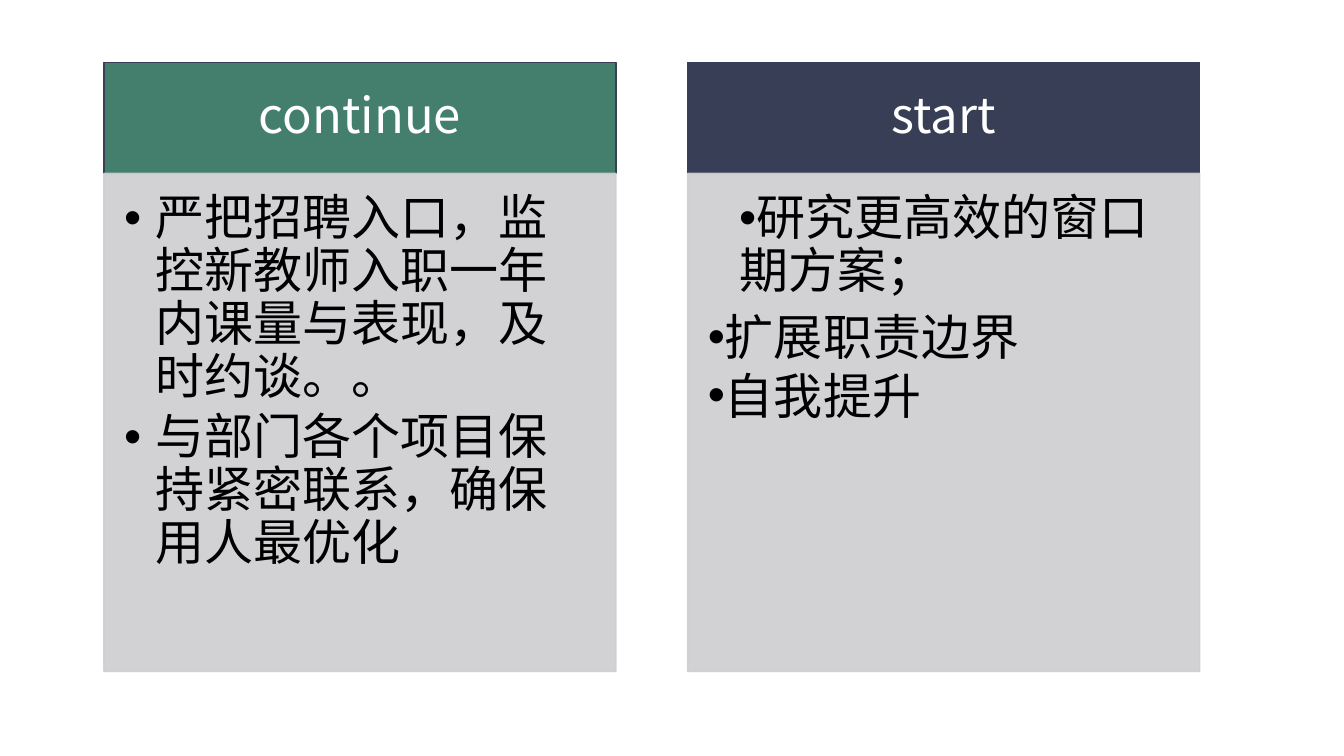
import pptx
import pptx.dml.color
import pptx.enum.text
import pptx.oxml.ns
import pptx.util
from lxml import etree
from pptx.util import Inches

RGBColor = pptx.dml.color.RGBColor
GREEN = RGBColor(0x44, 0x7F, 0x6D)
NAVY = RGBColor(0x38, 0x3E, 0x55)
GREY = RGBColor(0xCE, 0xCE, 0xD1)
WHITE = RGBColor(0xFF, 0xFF, 0xFF)
BLACK = RGBColor(0x00, 0x00, 0x00)

FONT = "Noto Sans CJK SC"
FONT_SIZE = 35
COMPARISON_LAYOUT = 4
LEFT, TOP = 1.03, 0.62
COLUMN_WIDTH, COLUMN_STEP = 5.08, 5.79
HEADER_HEIGHT, BODY_HEIGHT = 1.1, 4.94
HANGING, INDENTED, FLUSH = (0.31, -0.31), (0.31, 0), (0, 0)

# Heading, fill, and list items as (text, (margin, first-line indent))
COLUMNS = [
    ("continue", GREEN, [
        ("严把招聘入口，监控新教师入职一年内课量与表现，及时约谈。。", HANGING),
        ("与部门各个项目保持紧密联系，确保用人最优化", HANGING),
    ]),
    ("start", NAVY, [
        ("研究更高效的窗口期方案；", INDENTED),
        ("扩展职责边界", FLUSH),
        ("自我提升", FLUSH),
    ]),
]


def add_child(parent, tag, **attributes):
    return etree.SubElement(parent, pptx.oxml.ns.qn(tag), **attributes)


def place_panel(shape, left, top, height, fill, line, insets, anchor):
    """Position a placeholder and give it a fill, outline and text margins."""
    shape.left, shape.top = Inches(left), Inches(top)
    shape.width, shape.height = Inches(COLUMN_WIDTH), Inches(height)
    shape.fill.solid()
    shape.fill.fore_color.rgb = fill
    shape.line.color.rgb = line
    shape.line.width = pptx.util.Pt(1)
    frame = shape.text_frame
    frame.word_wrap = True
    frame.auto_size = pptx.enum.text.MSO_AUTO_SIZE.NONE
    frame.vertical_anchor = anchor
    (frame.margin_left, frame.margin_top,
     frame.margin_right, frame.margin_bottom) = map(Inches, insets)


def make_translucent(shape, percent):
    for color in shape.element.spPr.iter(pptx.oxml.ns.qn("a:srgbClr")):
        add_child(color, "a:alpha", val=str(percent * 1000))


def format_paragraph(paragraph, alignment, line_spacing, space_after):
    paragraph.alignment = alignment
    paragraph.line_spacing = line_spacing
    paragraph.space_before = pptx.util.Pt(0)
    paragraph.space_after = pptx.util.Pt(space_after)


def set_bullet(paragraph, margin, indent):
    properties = paragraph._p.get_or_add_pPr()
    properties.set("marL", str(Inches(margin)))
    properties.set("indent", str(Inches(indent)))
    add_child(properties, "a:buFont", typeface="Arial")
    add_child(properties, "a:buChar", char="•")


def add_run(paragraph, text, color):
    run = paragraph.add_run()
    run.text = text
    run.font.name = FONT
    run.font.size = pptx.util.Pt(FONT_SIZE)
    run.font.bold = False
    run.font.color.rgb = color
    add_child(run.font._element, "a:ea", typeface=FONT)


def fill_header(shape, left, heading, fill):
    place_panel(shape, left, TOP, HEADER_HEIGHT, fill, NAVY,
                (0.27, 0.16, 0.27, 0.16), pptx.enum.text.MSO_ANCHOR.MIDDLE)
    paragraph = shape.text_frame.paragraphs[0]
    format_paragraph(paragraph, pptx.enum.text.PP_ALIGN.CENTER, 0.9, FONT_SIZE * 0.35)
    add_run(paragraph, heading, WHITE)


def fill_list(shape, left, items):
    place_panel(shape, left, TOP + HEADER_HEIGHT, BODY_HEIGHT, GREY, GREY,
                (0.2, 0.2, 0.27, 0.31), pptx.enum.text.MSO_ANCHOR.TOP)
    make_translucent(shape, 90)
    frame = shape.text_frame
    for index, (text, indents) in enumerate(items):
        paragraph = frame.add_paragraph() if index else frame.paragraphs[0]
        nested = indents != FLUSH
        paragraph.level = 1 if nested else 0
        format_paragraph(paragraph, pptx.enum.text.PP_ALIGN.LEFT,
                         0.9 if nested else 1.0, FONT_SIZE * 0.15 if nested else 0)
        set_bullet(paragraph, *indents)
        add_run(paragraph, text, BLACK)


def main():
    presentation = pptx.Presentation()
    presentation.slide_width = Inches(13.33)
    presentation.slide_height = Inches(7.5)
    slide = presentation.slides.add_slide(presentation.slide_layouts[COMPARISON_LAYOUT])
    title = slide.shapes.title.element
    title.getparent().remove(title)

    for index, (heading, fill, items) in enumerate(COLUMNS):
        left = LEFT + index * COLUMN_STEP
        fill_header(slide.placeholders[2 * index + 1], left, heading, fill)
        fill_list(slide.placeholders[2 * index + 2], left, items)
    presentation.save("out.pptx")


if __name__ == "__main__":
    main()
